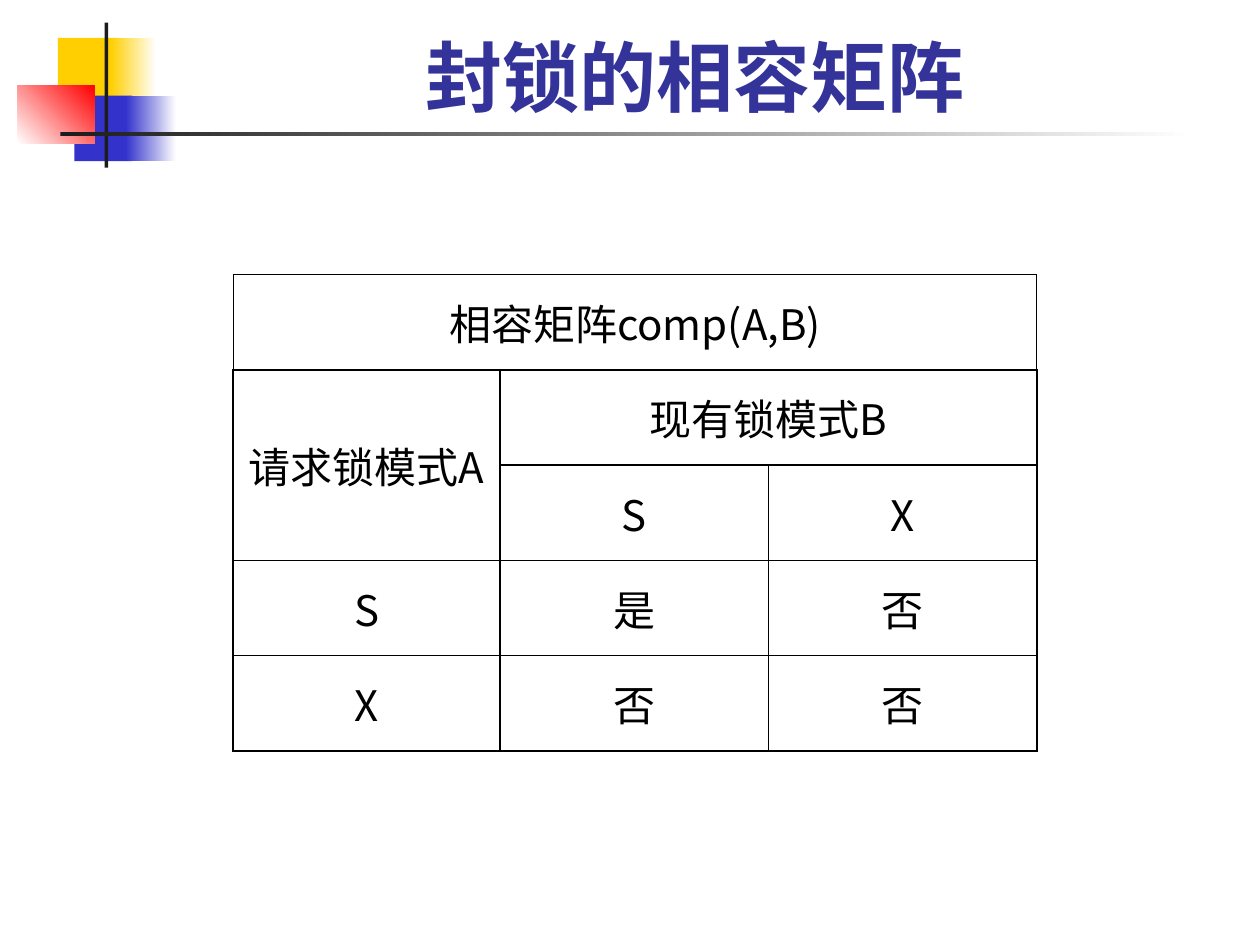
from lxml.etree import SubElement
from pptx import Presentation
from pptx.dml.color import RGBColor
from pptx.enum.shapes import MSO_SHAPE
from pptx.enum.text import MSO_ANCHOR, PP_ALIGN
from pptx.oxml.ns import qn
from pptx.util import Inches, Pt

CJK_FONT = "Noto Sans CJK SC"
TITLE = "封锁的相容矩阵"
DECORATIONS = [
    ((0.46, 0.3, 0.48, 0.52), ["FFCF01"], 0),
    ((0.88, 0.3, 0.36, 0.52), ["FFCF01", "FFFFFF"], 0),
    ((0.59, 0.76, 0.46, 0.52), ["3333CC"], 0),
    ((1, 0.76, 0.4, 0.52), ["3333CC", "FFFFFF"], 0),
    ((0.14, 0.68, 0.61, 0.46), ["FFFFFF", "FF0000"], 45),
    ((0.83, 0.18, 0.03, 1.15), ["1C1C1C"], 0),
    ((0.48, 1.05, 9, 0.03), ["1C1C1C", "FFFFFF"], 0),
]
MATRIX = [
    ["相容矩阵comp(A,B)", "", ""],
    ["请求锁模式A", "现有锁模式B", ""],
    ["", "S", "X"],
    ["S", "是", "否"],
    ["X", "否", "否"],
]
MERGES = [((0, 0), (0, 2)), ((1, 0), (2, 0)), ((1, 1), (1, 2))]
COLUMN_WIDTHS = [2.12, 2.13, 2.13]
ROW_HEIGHT = 0.756


def color(value):
    return RGBColor.from_string(value)


def write(frame, text, size, font, ink, bold=False):
    para = frame.paragraphs[0]
    para.alignment = PP_ALIGN.CENTER
    span = para.add_run()
    span.text = text
    span.font.size = Pt(size)
    span.font.name = font
    span.font.bold = bold
    span.font.color.rgb = color(ink)
    SubElement(span.font._element, qn("a:ea"), typeface=CJK_FONT)


def add_decoration(page, place, colors, angle):
    block = page.shapes.add_shape(MSO_SHAPE.RECTANGLE, *map(Inches, place))
    block.shadow.inherit = False
    block.line.fill.background()
    if len(colors) == 1:
        block.fill.solid()
        block.fill.fore_color.rgb = color(colors[0])
        return
    block.fill.gradient()
    block.fill.gradient_angle = angle
    for stop, value in zip(block.fill.gradient_stops, colors):
        stop.color.rgb = color(value)


def set_borders(cell, widths):
    properties = cell._tc.get_or_add_tcPr()
    for position, (side, width) in enumerate(widths.items()):
        border = SubElement(properties, qn(f"a:ln{side}"), w=str(Pt(width)))
        fill = SubElement(border, qn("a:solidFill"))
        SubElement(fill, qn("a:srgbClr"), val="000000")
        properties.insert(position, border)


def add_matrix(page):
    frame = page.shapes.add_table(
        len(MATRIX), len(COLUMN_WIDTHS), Inches(1.85), Inches(2.18),
        Inches(sum(COLUMN_WIDTHS)), Inches(ROW_HEIGHT * len(MATRIX)))
    table = frame.table
    table.first_row = False
    table.horz_banding = False
    for column, width in zip(table.columns, COLUMN_WIDTHS):
        column.width = Inches(width)
    for row_index, values in enumerate(MATRIX):
        table.rows[row_index].height = Inches(ROW_HEIGHT)
        outer = 0.75 if row_index == 0 else 1
        for column_index, text in enumerate(values):
            cell = table.cell(row_index, column_index)
            cell.fill.background()
            cell.vertical_anchor = MSO_ANCHOR.MIDDLE
            set_borders(cell, {"L": outer, "R": outer, "T": outer, "B": 1})
            if text:
                write(cell.text_frame, text, 24, CJK_FONT, "000000")
    for first, last in MERGES:
        table.cell(*first).merge(table.cell(*last))


def main():
    deck = Presentation()
    deck.slide_width, deck.slide_height = Inches(10), Inches(7.5)
    page = deck.slides.add_slide(deck.slide_layouts[6])
    for place, colors, angle in DECORATIONS:
        add_decoration(page, place, colors, angle)
    box = page.shapes.add_textbox(Inches(1.26), Inches(0.18), Inches(8.52), Inches(0.84))
    box.text_frame.word_wrap = True
    box.text_frame.vertical_anchor = MSO_ANCHOR.BOTTOM
    write(box.text_frame, TITLE, 44, "Karla", "333399", bold=True)
    add_matrix(page)
    deck.save("out.pptx")


if __name__ == "__main__":
    main()
